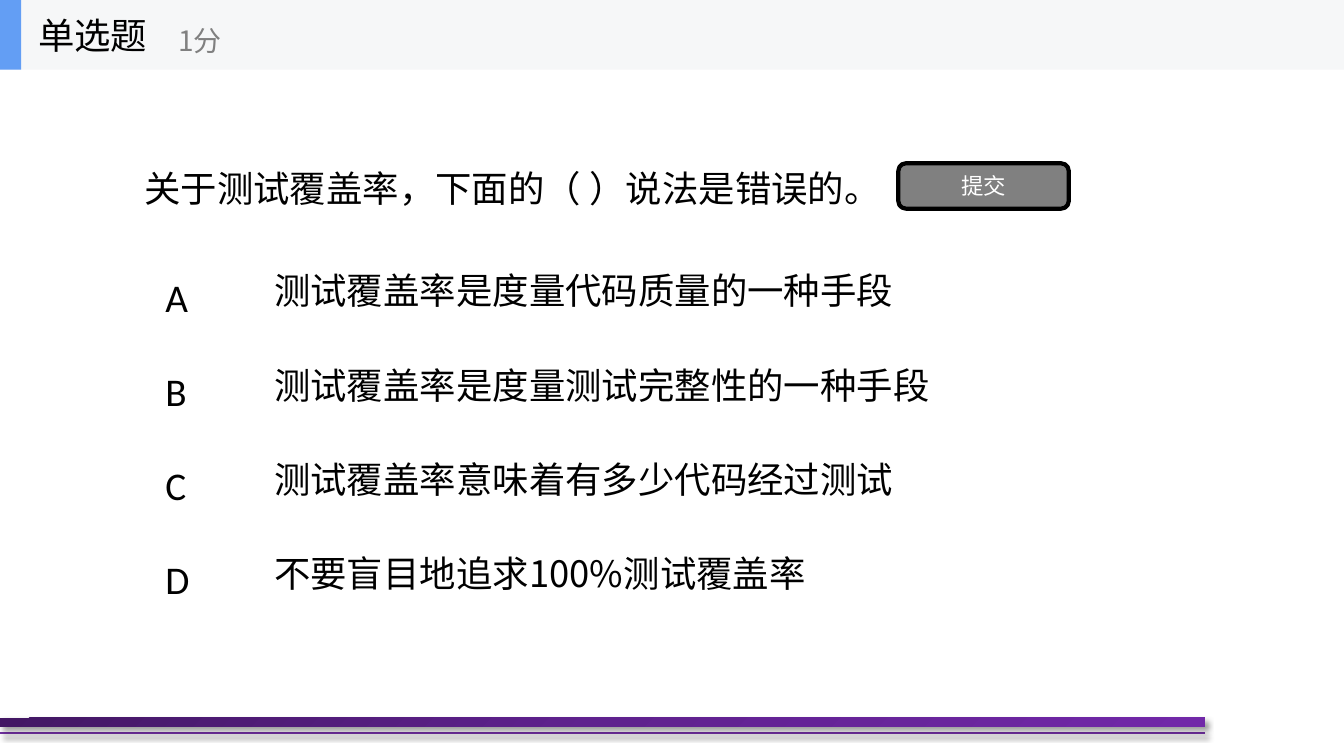
from dataclasses import dataclass

from lxml.etree import SubElement
from pptx import Presentation
from pptx.dml.color import RGBColor
from pptx.enum.shapes import MSO_CONNECTOR, MSO_SHAPE
from pptx.enum.text import MSO_ANCHOR, MSO_AUTO_SIZE, PP_ALIGN
from pptx.oxml import parse_xml
from pptx.oxml.ns import nsdecls, qn
from pptx.util import Inches, Pt


@dataclass(frozen=True)
class Theme:
    text_font: str = "Noto Sans CJK SC"
    letter_font: str = "Calibri"
    black: str = "000000"
    white: str = "FFFFFF"
    grey: str = "808080"
    band: str = "F6F7F8"
    accent: str = "639EF4"
    rule: str = "7030A0"
    bar_stops: tuple = ((0, "431764"), (50, "5F218E"), (100, "7128A8"))
    text_size: float = 26
    letter_size: float = 28
    score_size: float = 20
    button_size: float = 16
    letter_gap: float = 33.6


@dataclass(frozen=True)
class Box:
    left: float
    top: float
    width: float
    height: float

    def lengths(self) -> tuple:
        return tuple(map(Inches, (self.left, self.top, self.width, self.height)))


@dataclass(frozen=True)
class Label:
    text: str
    box: Box
    size: float
    color: str
    wrap: bool = True


THEME = Theme()
SLIDE_WIDTH, SLIDE_HEIGHT = 13.33, 7.5
HEADER_HEIGHT = 0.69
RULE_WIDTH, RULE_TOP = 11.95, 7.27
OPTION_TOP, OPTION_PITCH = 2.53, 0.935

QUESTION = Label("关于测试覆盖率，下面的（ ）说法是错误的。",
                 Box(1.33, 0.69, 10.67, 2.34), THEME.text_size, THEME.black)
OPTIONS = {
    "A": "测试覆盖率是度量代码质量的一种手段",
    "B": "测试覆盖率是度量测试完整性的一种手段",
    "C": "测试覆盖率意味着有多少代码经过测试",
    "D": "不要盲目地追求100%测试覆盖率",
}
LETTER_BOX = Box(1.54, 2.66, 0.44, 3.4)
BUTTON = Label("提交", Box(8.91, 1.62, 1.69, 0.45), THEME.button_size, THEME.white)
HEADER_BANDS = (
    (Box(0, 0, SLIDE_WIDTH, HEADER_HEIGHT), THEME.band),
    (Box(0, 0, 0.21, HEADER_HEIGHT), THEME.accent),
)
HEADER_LABELS = (
    Label("单选题", Box(0.28, 0, 2.08, HEADER_HEIGHT), THEME.text_size, THEME.black, False),
    Label("1分", Box(1.67, 0.12, 2.5, 0.56), THEME.score_size, THEME.grey, False),
)


def set_all(target, values: dict) -> None:
    for name, value in values.items():
        setattr(target, name, value)


def place(shape, box: Box) -> None:
    set_all(shape, dict(zip(("left", "top", "width", "height"), box.lengths())))


def format_run(run, size: float, color: str, font: str) -> None:
    """Give the run its font for Latin and East Asian characters alike."""
    set_all(run.font, {"size": Pt(size), "name": font, "bold": False})
    run.font.color.rgb = RGBColor.from_string(color)
    SubElement(run._r.get_or_add_rPr(), qn("a:ea"), typeface=font)


def write_label(shape, label: Label, align=PP_ALIGN.LEFT) -> None:
    frame = shape.text_frame
    set_all(frame, {"word_wrap": label.wrap, "auto_size": MSO_AUTO_SIZE.NONE,
                    "vertical_anchor": MSO_ANCHOR.MIDDLE})
    paragraph = frame.paragraphs[0]
    paragraph.alignment = align
    run = paragraph.add_run()
    run.text = label.text
    format_run(run, label.size, label.color, THEME.text_font)


def add_label(shapes, label: Label) -> None:
    write_label(shapes.add_textbox(*label.box.lengths()), label)


def add_block(shapes, box: Box, color: str, preset=MSO_SHAPE.RECTANGLE):
    block = shapes.add_shape(preset, *box.lengths())
    block.shadow.inherit = False
    block.fill.solid()
    block.fill.fore_color.rgb = RGBColor.from_string(color)
    block.line.fill.background()
    return block


def cast_shadow(shape) -> None:
    properties = shape._element.spPr
    effects = properties.find(qn("a:effectLst"))
    if effects is None:
        effects = SubElement(properties, qn("a:effectLst"))
    effects.append(parse_xml(
        f'<a:outerShdw {nsdecls("a")} blurRad="{Pt(4)}" dist="{Pt(3)}" dir="2700000" '
        f'algn="tl" rotWithShape="0"><a:srgbClr val="{THEME.black}">'
        '<a:alpha val="40000"/></a:srgbClr></a:outerShdw>'))


def add_footer(shapes) -> None:
    rule = shapes.add_connector(MSO_CONNECTOR.STRAIGHT, Inches(0), Inches(RULE_TOP),
                                Inches(RULE_WIDTH), Inches(RULE_TOP))
    rule.line.color.rgb = RGBColor.from_string(THEME.rule)
    rule.line.width = Pt(1.5)
    cast_shadow(rule)

    bar = add_block(shapes, Box(0, 7.12, RULE_WIDTH, 0.09), THEME.rule)
    stops = "".join(f'<a:gs pos="{position * 1000}"><a:srgbClr val="{color}"/></a:gs>'
                    for position, color in THEME.bar_stops)
    properties = bar._element.spPr
    properties.replace(properties.find(qn("a:solidFill")), parse_xml(
        f'<a:gradFill {nsdecls("a")} rotWithShape="1"><a:gsLst>{stops}</a:gsLst>'
        '<a:lin ang="2700000" scaled="0"/></a:gradFill>'))
    cast_shadow(bar)


def add_header(shapes) -> None:
    header = shapes.add_group_shape().shapes
    for box, color in HEADER_BANDS:
        add_block(header, box, color)
    for label in HEADER_LABELS:
        add_label(header, label)


def add_button(shapes) -> None:
    button = add_block(shapes, BUTTON.box, THEME.grey, MSO_SHAPE.ROUNDED_RECTANGLE)
    button.line.color.rgb = RGBColor.from_string(THEME.black)
    button.line.width = Pt(3)
    write_label(button, BUTTON, PP_ALIGN.CENTER)


def write_letters(body) -> None:
    place(body, LETTER_BOX)
    frame = body.text_frame
    set_all(frame, {"word_wrap": False, "auto_size": MSO_AUTO_SIZE.NONE,
                    "vertical_anchor": MSO_ANCHOR.TOP})
    for index, letter in enumerate(OPTIONS):
        paragraph = frame.add_paragraph() if index else frame.paragraphs[0]
        set_all(paragraph, {"alignment": PP_ALIGN.LEFT, "space_after": Pt(0),
                            "space_before": Pt(THEME.letter_gap if index else 0)})
        properties = paragraph._p.get_or_add_pPr()
        set_all_indents = {"marL": "0", "indent": "0"}
        for name, value in set_all_indents.items():
            properties.set(name, value)
        SubElement(properties, qn("a:buNone"))
        run = paragraph.add_run()
        run.text = letter
        format_run(run, THEME.letter_size, THEME.black, THEME.letter_font)


def main() -> None:
    presentation = Presentation()
    presentation.slide_width = Inches(SLIDE_WIDTH)
    presentation.slide_height = Inches(SLIDE_HEIGHT)
    slide = presentation.slides.add_slide(presentation.slide_layouts[1])
    shapes = slide.shapes

    add_footer(shapes)
    place(shapes.title, QUESTION.box)
    write_label(shapes.title, QUESTION)
    write_letters(slide.placeholders[1])
    for index, text in enumerate(OPTIONS.values()):
        box = Box(2.62, OPTION_TOP + index * OPTION_PITCH, 9.33, 0.7)
        add_label(shapes, Label(text, box, THEME.text_size, THEME.black))
    add_button(shapes)
    add_header(shapes)
    presentation.save("out.pptx")


if __name__ == "__main__":
    main()
